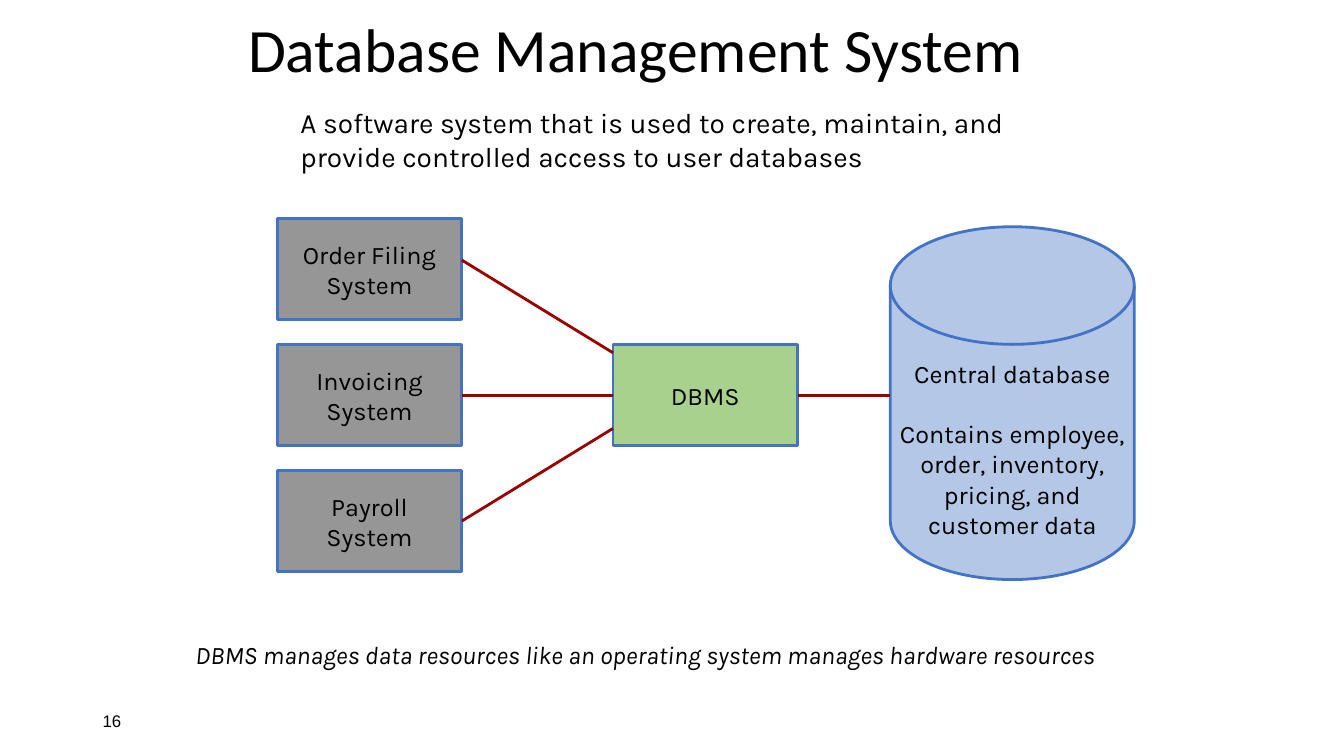
from pptx import Presentation
from pptx.dml.color import RGBColor
from pptx.enum.shapes import MSO_CONNECTOR, MSO_SHAPE
from pptx.enum.text import MSO_ANCHOR, PP_ALIGN
from pptx.oxml.ns import qn
from pptx.util import Inches, Pt
from lxml import etree

BLACK = RGBColor(0, 0, 0)
GRAY = RGBColor(0x96, 0x96, 0x96)
GREEN = RGBColor(0xA9, 0xD1, 0x8E)
LIGHT_BLUE = RGBColor(0xB4, 0xC7, 0xE7)
BLUE = RGBColor(0x44, 0x72, 0xC4)
RED = RGBColor(0x99, 0, 0)

BOX_WIDTH, BOX_HEIGHT = 1.83, 1
BOX_STEP = 1.25
SYSTEMS = ["Order Filing\nSystem", "Invoicing\nSystem", "Payroll\nSystem"]
DATABASE_TEXT = (
    "Central database\nContains employee,\norder, inventory,\npricing, and\ncustomer data"
)


def format_text(text_frame, size, font="Karla", italic=False, align=PP_ALIGN.LEFT):
    for paragraph in text_frame.paragraphs:
        paragraph.alignment = align
        for run in paragraph.runs:
            run.font.size = Pt(size)
            run.font.name = font
            run.font.italic = italic
            run.font.color.rgb = BLACK


def add_text(slide, box, text, size, font="Karla", italic=False):
    text_frame = slide.shapes.add_textbox(*map(Inches, box)).text_frame
    text_frame.word_wrap = True
    text_frame.text = text
    format_text(text_frame, size, font, italic)
    return text_frame


def add_node(slide, kind, box, text, fill):
    shape = slide.shapes.add_shape(kind, *map(Inches, box))
    shape.shadow.inherit = False
    shape.fill.solid()
    shape.fill.fore_color.rgb = fill
    shape.line.color.rgb = BLUE
    shape.line.width = Pt(2)
    text_frame = shape.text_frame
    text_frame.word_wrap = False
    text_frame.vertical_anchor = MSO_ANCHOR.MIDDLE
    text_frame.text = text
    format_text(text_frame, 18, align=PP_ALIGN.CENTER)
    return shape


def add_link(slide, start_x, start_y, end_x, end_y):
    link = slide.shapes.add_connector(
        MSO_CONNECTOR.STRAIGHT, *map(Inches, (start_x, start_y, end_x, end_y))
    )
    link.line.color.rgb = RED
    link.line.width = Pt(2)
    etree.SubElement(link._element.spPr, qn("a:effectLst"))
    return link


def add_heading(slide, left, top):
    title = add_text(
        slide, (left, top, 8.52, 0.78), "Database Management System", 44, "Calibri"
    )
    title.margin_left = title.margin_right = Inches(0.05)
    title.margin_top = title.margin_bottom = Inches(0.02)
    title.paragraphs[0].line_spacing = 0.9
    definition = add_text(
        slide,
        (left + 0.09, top + 0.83, 8.5, 1.5),
        "A software system that is used to create, maintain, and "
        "provide controlled access to user databases",
        20,
    )
    definition.margin_left = Inches(0.48)


def add_diagram(slide, left, top):
    systems = [
        add_node(
            slide,
            MSO_SHAPE.RECTANGLE,
            (left, top + row * BOX_STEP, BOX_WIDTH, BOX_HEIGHT),
            text,
            GRAY,
        )
        for row, text in enumerate(SYSTEMS)
    ]
    dbms_left, dbms_top = left + 3.33, top + BOX_STEP
    dbms = add_node(
        slide,
        MSO_SHAPE.RECTANGLE,
        (dbms_left, dbms_top, BOX_WIDTH, BOX_HEIGHT),
        "DBMS",
        GREEN,
    )
    disk_left = left + 6.08
    disk = add_node(
        slide,
        MSO_SHAPE.FLOWCHART_MAGNETIC_DISK,
        (disk_left, top + 0.08, 2.42, 3.5),
        DATABASE_TEXT,
        LIGHT_BLUE,
    )
    disk.text_frame.margin_top = Inches(0.32)
    disk.text_frame.margin_bottom = 0
    disk.text_frame.paragraphs[0].space_after = Pt(21.5)

    system_right = left + BOX_WIDTH
    middle = dbms_top + BOX_HEIGHT / 2
    add_link(slide, system_right, top + 0.41, dbms_left, dbms_top + 0.08)
    invoicing_link = add_link(slide, system_right, middle, dbms_left, middle)
    invoicing_link.begin_connect(systems[1], 3)
    invoicing_link.end_connect(dbms, 1)
    payroll_link = add_link(
        slide, system_right, middle + BOX_STEP, dbms_left, dbms_top + 0.83
    )
    payroll_link.begin_connect(systems[2], 3)
    database_link = add_link(slide, dbms_left + BOX_WIDTH, middle, disk_left, middle)
    database_link.begin_connect(dbms, 3)


def add_footer(slide, left, top):
    add_text(
        slide,
        (left + 0.92, top, 9.77, 0.4),
        "DBMS manages data resources like an operating system manages hardware resources",
        18,
        italic=True,
    )
    number = add_text(slide, (left, top + 0.66, 3, 0.4), "16", 12, "Arial")
    number.vertical_anchor = MSO_ANCHOR.MIDDLE


def main():
    presentation = Presentation()
    presentation.slide_width = Inches(13.33)
    presentation.slide_height = Inches(7.5)
    slide = presentation.slides.add_slide(presentation.slide_layouts[6])
    add_heading(slide, 2.41, 0.17)
    add_diagram(slide, 2.75, 2.17)
    add_footer(slide, 0.92, 6.29)
    presentation.save("out.pptx")


if __name__ == "__main__":
    main()
